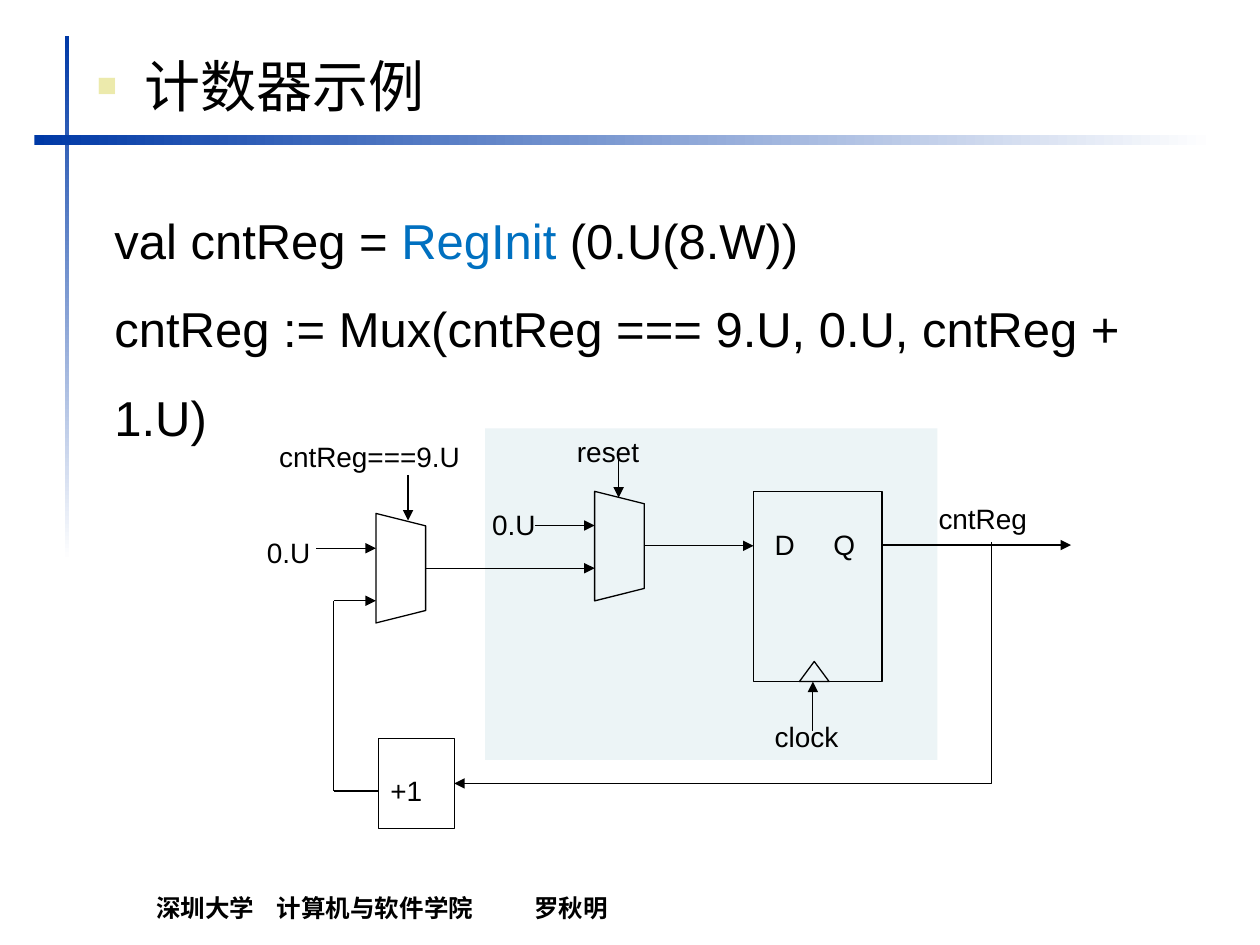
from dataclasses import dataclass

from lxml.etree import SubElement
from pptx import Presentation
from pptx.dml.color import RGBColor
from pptx.enum.shapes import MSO_CONNECTOR, MSO_SHAPE
from pptx.enum.text import MSO_ANCHOR, MSO_AUTO_SIZE, PP_ALIGN
from pptx.oxml.ns import qn
from pptx.util import Pt


@dataclass(frozen=True)
class Theme:
    font: str = "Arial"
    ink: str = "000000"
    accent: str = "0070C0"
    bar: str = "0039A6"
    paper: str = "FFFFFF"
    panel: str = "ECF4F6"
    bullet: str = "ECEAAC"
    title_size: float = 32
    code_size: float = 28
    label_size: float = 16
    footer_size: float = 14
    line_width: float = 0.75


THEME = Theme()


def rgb(value):
    return RGBColor.from_string(value)


def apply_format(target, **values):
    for name, value in values.items():
        setattr(target, name, value)


def add_run(paragraph, text, size, color=THEME.ink, bold=False):
    run = paragraph.add_run()
    run.text = text
    apply_format(run.font, name=THEME.font, size=Pt(size), bold=bold)
    run.font.color.rgb = rgb(color)


def add_tab_stops(paragraph, positions):
    tab_list = SubElement(paragraph._p.get_or_add_pPr(), qn("a:tabLst"))
    for position in positions:
        SubElement(tab_list, qn("a:tab"), pos=str(Pt(position)), algn="l")


def add_text_box(slide, left, top, width, height, anchor=MSO_ANCHOR.TOP):
    box = slide.shapes.add_textbox(Pt(left), Pt(top), Pt(width), Pt(height))
    apply_format(box.text_frame, word_wrap=True, vertical_anchor=anchor)
    return box.text_frame


def add_label(slide, text, left, top, width=62.5, tabs=()):
    paragraph = add_text_box(slide, left, top, width, 26.6).paragraphs[0]
    if tabs:
        add_tab_stops(paragraph, tabs)
    add_run(paragraph, text, THEME.label_size)


def add_shape(slide, kind, left, top, width, height, rotation=0):
    shape = slide.shapes.add_shape(kind, Pt(left), Pt(top), Pt(width), Pt(height))
    shape.rotation = rotation
    shape.shadow.inherit = False
    return shape


def add_outline(slide, kind, *place, rotation=0):
    shape = add_shape(slide, kind, *place, rotation=rotation)
    shape.fill.background()
    shape.line.color.rgb = rgb(THEME.ink)
    shape.line.width = Pt(THEME.line_width)
    return shape


def add_multiplexer(slide, left, top):
    # A trapezoid turned so that its long side faces left
    long_side, depth = 62.6, 28.4
    shift = (long_side - depth) / 2
    add_outline(slide, MSO_SHAPE.TRAPEZOID, left - shift, top + shift,
                long_side, depth, rotation=90)


def add_gradient_bar(slide, left, top, width, height, angle):
    bar = add_shape(slide, MSO_SHAPE.RECTANGLE, left, top, width, height)
    bar.line.fill.background()
    bar.fill.gradient()
    bar.fill.gradient_angle = angle
    for stop, color in zip(bar.fill.gradient_stops, (THEME.bar, THEME.paper)):
        stop.color.rgb = rgb(color)


def add_wire(slide, start, end, arrow=True, kind=MSO_CONNECTOR.STRAIGHT):
    wire = slide.shapes.add_connector(kind, *map(Pt, start + end))
    wire.line.color.rgb = rgb(THEME.ink)
    wire.line.width = Pt(THEME.line_width)
    properties = wire._element.spPr
    if arrow:
        SubElement(properties.find(qn("a:ln")), qn("a:tailEnd"), type="triangle")
    SubElement(properties, qn("a:effectLst"))
    return wire


def add_feedback_wire(slide, start, end, target):
    # Runs down first, then left into the right side of the target
    wire = add_wire(slide, start, end, kind=MSO_CONNECTOR.ELBOW)
    wire.end_connect(target, 3)
    drop, run = end[1] - start[1], start[0] - end[0]
    center_x, center_y = (start[0] + end[0]) / 2, (start[1] + end[1]) / 2
    apply_format(wire, left=Pt(center_x - drop / 2), top=Pt(center_y - run / 2),
                 width=Pt(drop), height=Pt(run))
    properties = wire._element.spPr
    frame = properties.find(qn("a:xfrm"))
    frame.attrib.pop("flipH", None)
    frame.set("rot", "5400000")
    properties.find(qn("a:prstGeom")).set("prst", "bentConnector2")


def add_title(slide, text):
    title = slide.shapes.title
    apply_format(title, left=Pt(48.2), top=Pt(25.9), width=Pt(408.2), height=Pt(51.1))
    apply_format(title.text_frame, word_wrap=True, vertical_anchor=MSO_ANCHOR.TOP,
                 auto_size=MSO_AUTO_SIZE.NONE)
    paragraph = title.text_frame.paragraphs[0]
    paragraph.alignment = PP_ALIGN.LEFT
    properties = paragraph._p.get_or_add_pPr()
    properties.set("marL", str(Pt(27)))
    properties.set("indent", str(Pt(-27)))
    color = SubElement(properties, qn("a:buClr"))
    SubElement(color, qn("a:srgbClr"), val=THEME.bullet)
    SubElement(properties, qn("a:buSzPct"), val="60000")
    SubElement(properties, qn("a:buFont"), typeface=THEME.font)
    SubElement(properties, qn("a:buChar"), char="■")
    add_run(paragraph, text, THEME.title_size)


def add_code(slide, lines):
    frame = add_text_box(slide, 58.3, 100.1, 603.4, 103.7)
    for index, pieces in enumerate(lines):
        paragraph = frame.add_paragraph() if index else frame.paragraphs[0]
        paragraph.line_spacing = 1.5
        for text, color in pieces:
            add_run(paragraph, text, THEME.code_size, color)


def add_footer(slide, text):
    frame = add_text_box(slide, 82.1, 502.6, 651.6, 28.1, MSO_ANCHOR.BOTTOM)
    add_tab_stops(frame.paragraphs[0], (69, 216))
    add_run(frame.paragraphs[0], text, THEME.footer_size, bold=True)


def add_circuit(slide):
    # Blocks
    add_outline(slide, MSO_SHAPE.RECTANGLE, 430.6, 280.8, 73.4, 108.7)
    add_outline(slide, MSO_SHAPE.ISOSCELES_TRIANGLE, 456.8, 378, 17, 11.5)
    add_multiplexer(slide, 339.8, 280.8)
    add_multiplexer(slide, 214.8, 293.4)
    adder = add_outline(slide, MSO_SHAPE.RECTANGLE, 216.2, 422, 43.4, 51.4)

    # Wires with arrowheads
    for start, end in (
        ((368, 311.9), (430.6, 311.9)),
        ((353.5, 258.5), (353.5, 284.4)),
        ((305.5, 300.3), (339.8, 300.3)),
        ((504, 311.5), (612, 311.5)),
        ((180.7, 313.3), (214.8, 313.3)),
        ((243.2, 324.7), (339.8, 324.7)),
        ((233.2, 271.4), (233.2, 297.4)),
        ((190.6, 343.3), (214.8, 343.3)),
        ((464.5, 417.6), (464.5, 389.5)),
    ):
        add_wire(slide, start, end)
    add_wire(slide, (216.2, 452), (190.6, 452), arrow=False)
    add_wire(slide, (190.6, 452), (190.6, 343.3), arrow=False)
    add_feedback_wire(slide, (566.5, 309.6), (259.6, 447.7), adder)

    # Labels
    add_label(slide, "cntReg===9.U", 152.4, 247.7, 143.3)
    add_label(slide, "reset", 322.6, 244.8)
    add_label(slide, "0.U", 274.1, 286.6)
    add_label(slide, "0.U", 145.4, 302.4)
    add_label(slide, "D\tQ", 435.6, 298.1, tabs=(33.5,))
    add_label(slide, "cntReg", 529.2, 283, 73.4)
    add_label(slide, "clock", 435.6, 407.5, 73.4)
    add_label(slide, "+1", 216, 438.5, 73.4)


def main():
    presentation = Presentation()
    apply_format(presentation, slide_width=Pt(720), slide_height=Pt(540))
    slide = presentation.slides.add_slide(presentation.slide_layouts[5])

    # Frame bars and footer
    add_gradient_bar(slide, 36.9, 20.4, 2.7, 300, 270)
    add_gradient_bar(slide, 19.7, 77, 674.6, 5.8, 0)
    add_footer(slide, "深圳大学\t计算机与软件学院\t罗秋明")

    # Panel behind the register
    panel = add_shape(slide, MSO_SHAPE.RECTANGLE, 277.2, 244.8, 258.5, 189.4)
    panel.fill.solid()
    panel.fill.fore_color.rgb = rgb(THEME.panel)
    panel.line.fill.background()

    # Title, code and circuit
    add_title(slide, "计数器示例")
    add_code(slide, (
        (("val cntReg = ", THEME.ink), ("RegInit", THEME.accent),
         (" (0.U(8.W))", THEME.ink)),
        (("cntReg := Mux(cntReg === 9.U, 0.U, cntReg + 1.U)", THEME.ink),),
    ))
    add_circuit(slide)
    presentation.save("out.pptx")


if __name__ == "__main__":
    main()
